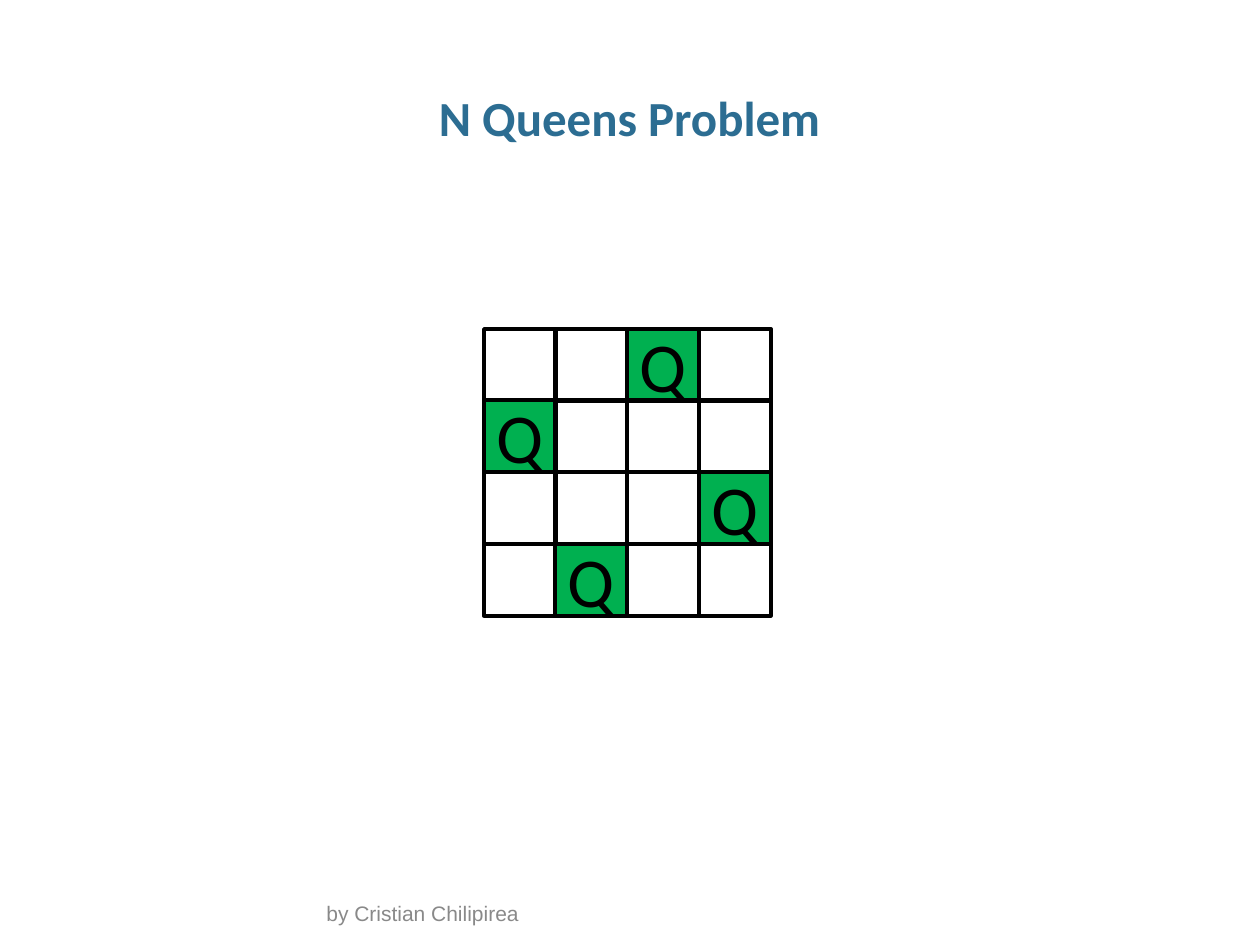
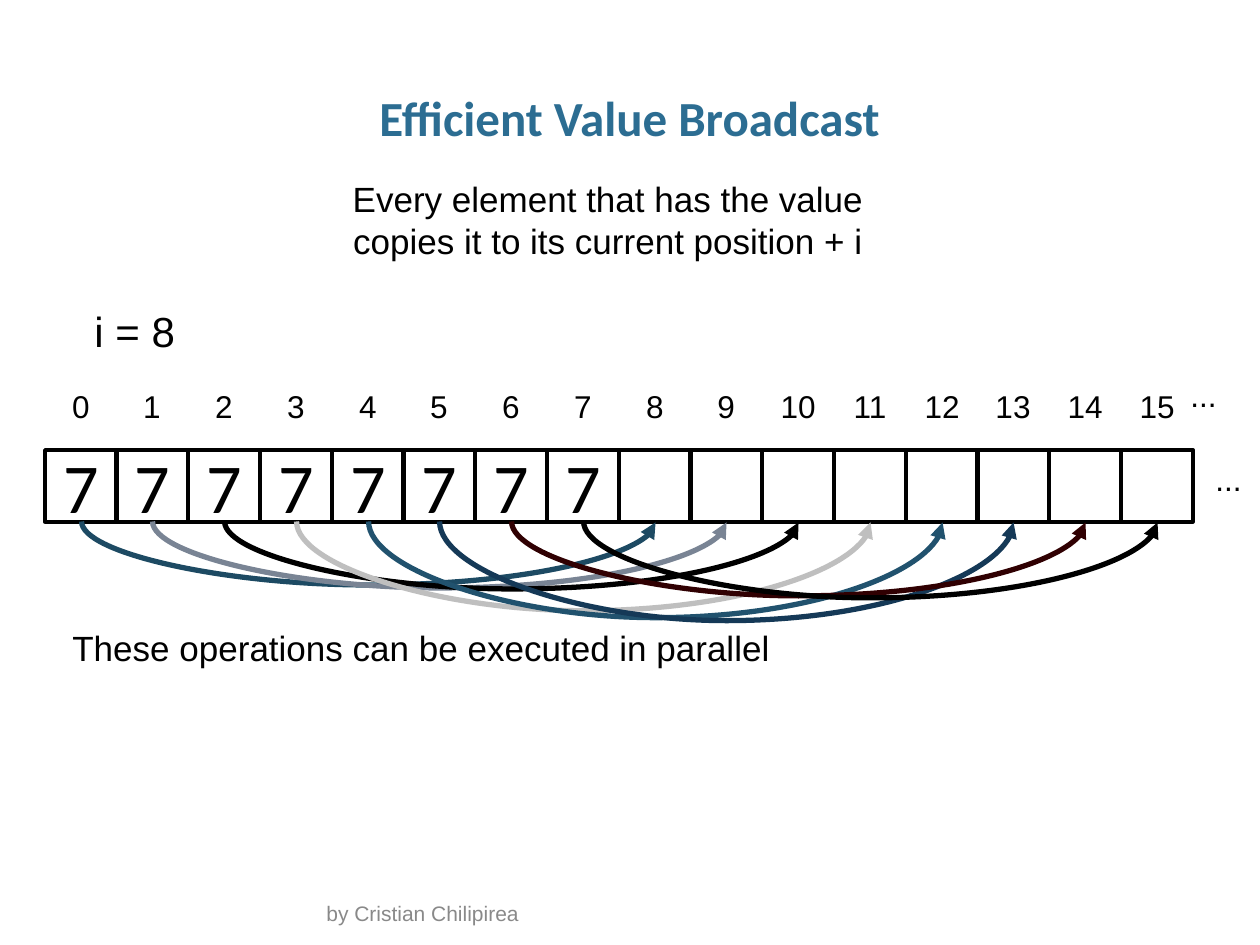
from pptx import Presentation
from pptx.dml.color import RGBColor
from pptx.enum.shapes import MSO_CONNECTOR, MSO_SHAPE
from pptx.enum.text import MSO_ANCHOR, PP_ALIGN
from pptx.oxml.ns import qn
from pptx.util import Pt
from lxml.etree import SubElement

SCALE = 914400 / 126
BLACK, GREEN, TEAL, GREY = "000000", "00B050", "2C6D92", "898989"
CELL = 72
HOP = 8
BOARD_LEFT, BOARD_TOP = 484, 329
ROW_LEFT, ROW_TOP = 45, 450
QUEENS = [2, 0, 3, 1]
ARCS = [("1D4A63", 64), ("798494", 67), (BLACK, 68), ("BFBFBF", 90),
        ("21526E", 97), ("153957", 100), ("300002", 75), (BLACK, 77)]


def px(n):
    """Turn pixels into EMU."""
    return round(n * SCALE)


def tint(code):
    """Turn a hex string into a colour."""
    return RGBColor.from_string(code)


def nth(start, i):
    """Give the near edge of cell i in a row or column."""
    return start + i * 287 // 4


def write(shape, text, size, font="Arial", color=BLACK, bold=False,
          align=PP_ALIGN.LEFT, line=None):
    """Put one styled paragraph into a shape."""
    para = shape.text_frame.paragraphs[0]
    para.text = text
    para.alignment = align
    if line:
        para.line_spacing = line
    look = {"name": font, "size": Pt(size), "bold": bold}
    for key, value in look.items():
        setattr(para.font, key, value)
    para.font.color.rgb = tint(color)


def label(slide, box, text, size, wrap=False, frame=None, **style):
    """Add a text box."""
    shape = slide.shapes.add_textbox(*map(px, box))
    look = {"word_wrap": wrap, **(frame or {})}
    for key, value in look.items():
        setattr(shape.text_frame, key, value)
    write(shape, text, size, **style)


def cell(slide, left, top, text="", fill=None):
    """Add a square cell with an outline."""
    shape = slide.shapes.add_shape(MSO_SHAPE.RECTANGLE, px(left), px(top),
                                   px(CELL), px(CELL))
    shape.shadow.inherit = False
    if fill:
        shape.fill.solid()
        shape.fill.fore_color.rgb = tint(fill)
    else:
        shape.fill.background()
    shape.line.color.rgb = tint(BLACK)
    shape.line.width = Pt(2)
    if text:
        shape.text_frame.vertical_anchor = MSO_ANCHOR.MIDDLE
        write(shape, text, 40, font="Calibri", align=PP_ALIGN.CENTER)


def arc(slide, start, end, top, depth, color):
    """Add a curved arrow that hangs below two points."""
    mid, half = (start + end) / 2, (end - start) / 2
    curve = slide.shapes.add_connector(
        MSO_CONNECTOR.CURVE, px(mid + 1), px(top - half), px(mid), px(top + half))
    curve.line.color.rgb = tint(color)
    curve.line.width = Pt(3)
    props = curve._element.spPr
    props.find(qn("a:xfrm")).set("rot", "16200000")
    guides = props.find(qn("a:prstGeom")).get_or_add_avLst()
    SubElement(guides, qn("a:gd"), name="adj1", fmla=f"val {depth * 100000}")
    SubElement(props.find(qn("a:ln")), qn("a:tailEnd"), type="triangle")
    SubElement(props, qn("a:effectLst"))


def page(deck, title):
    """Add a slide with its title and footer."""
    slide = deck.slides.add_slide(deck.slide_layouts[6])
    label(slide, (43, 86, 1173, 63), title, 28, wrap=True,
          frame={"margin_left": 0, "margin_right": 0}, font="Calibri",
          color=TEAL, bold=True, align=PP_ALIGN.CENTER, line=0.95)
    label(slide, (314, 902, 632, 30), "by Cristian Chilipirea", 12, wrap=True,
          frame={"vertical_anchor": MSO_ANCHOR.BOTTOM}, color=GREY)
    return slide


def queens(deck):
    """Build the chess board slide."""
    slide = page(deck, "N Queens Problem")
    for row, queen in enumerate(QUEENS):
        for col in range(len(QUEENS)):
            mark = ("Q", GREEN) if col == queen else ()
            cell(slide, nth(BOARD_LEFT, col), nth(BOARD_TOP, row), *mark)


def spread(deck):
    """Build the value broadcast slide."""
    slide = page(deck, "Efficient Value Broadcast")
    for i in range(2 * HOP):
        left = nth(ROW_LEFT, i)
        cell(slide, left, ROW_TOP, "7" if i < HOP else "")
        label(slide, (left, 381, CELL, 50), str(i), 18, align=PP_ALIGN.CENTER)
    for left, top in [(1178, 370), (1203, 454)]:
        label(slide, (left, top, 52, 50), "...", 18)
    for i, (color, depth) in enumerate(ARCS):
        start, end = (nth(ROW_LEFT, n) + CELL // 2 for n in (i, i + HOP))
        arc(slide, start, end, ROW_TOP + CELL, depth, color)
    label(slide, (333, 171, 550, 97),
          "Every element that has the value copies it to its current position + i",
          20, wrap=True, align=PP_ALIGN.CENTER)
    label(slide, (82, 299, 107, 63), "i = 8", 24)
    label(slide, (60, 620, 728, 55),
          "These operations can be executed in parallel", 20)


def main():
    """Build and save the deck."""
    deck = Presentation()
    deck.slide_width, deck.slide_height = px(1260), px(945)
    queens(deck)
    spread(deck)
    deck.save("out.pptx")


if __name__ == "__main__":
    main()
